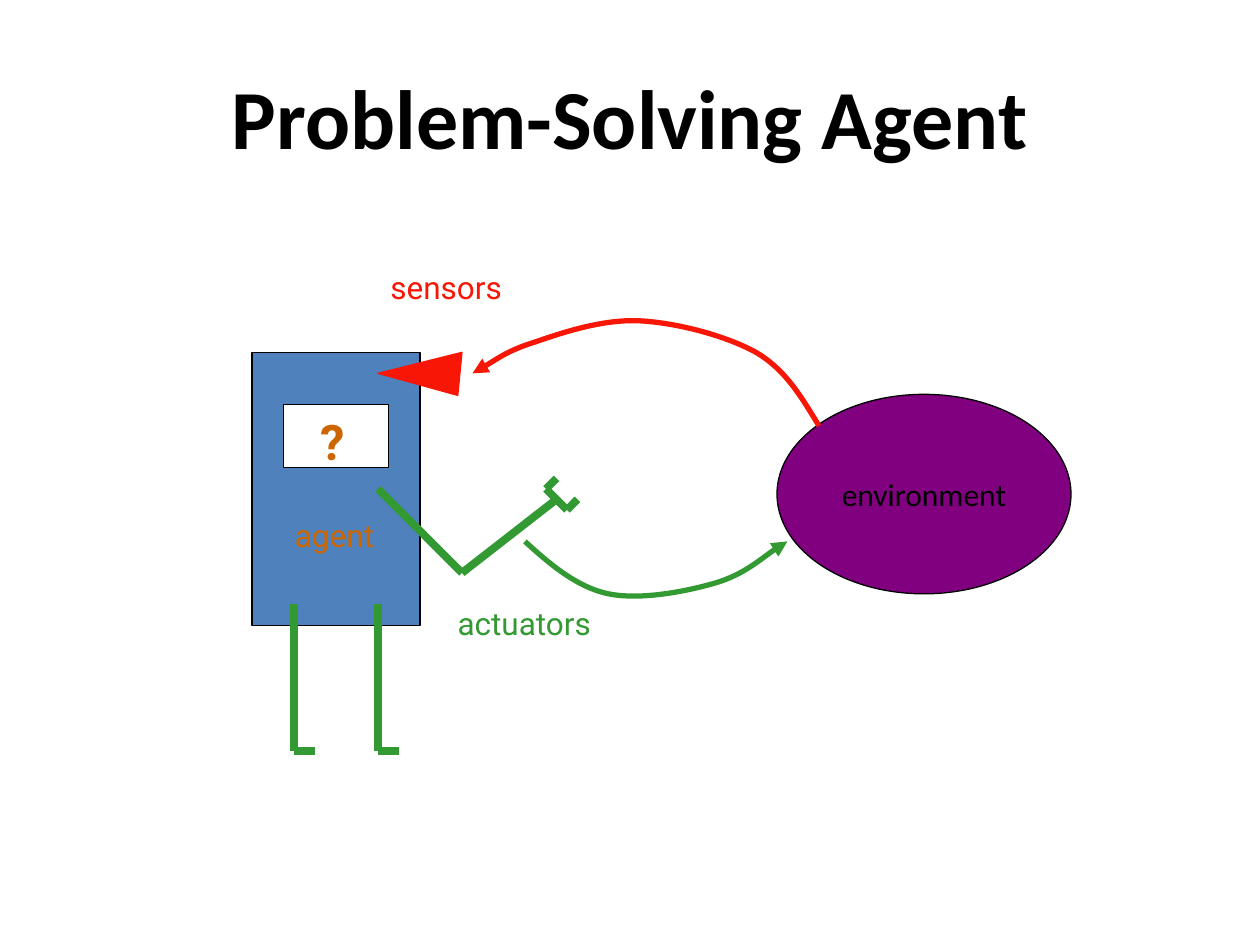
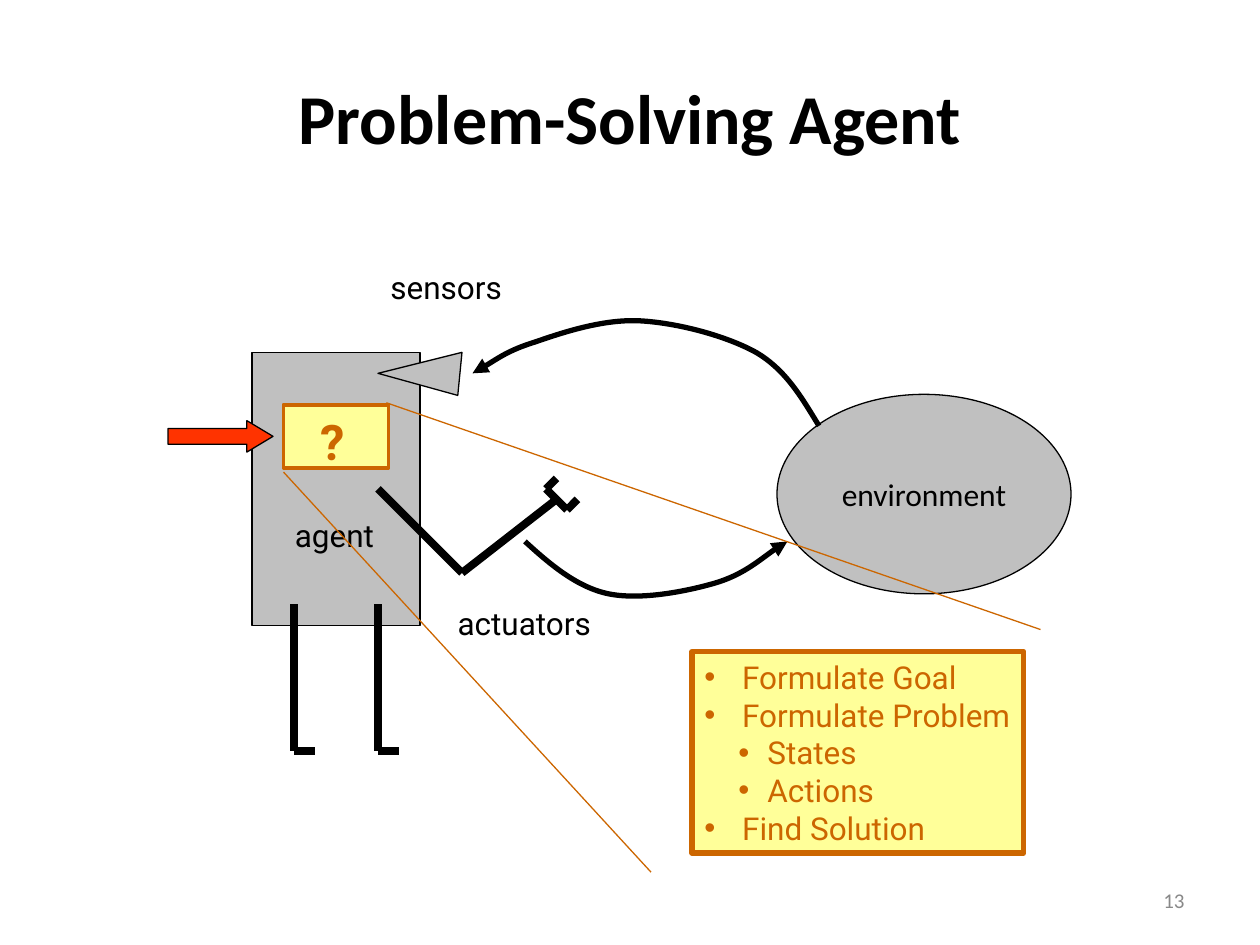
from dataclasses import dataclass

from lxml import etree
from pptx import Presentation
from pptx import util as u
from pptx.dml.color import RGBColor
from pptx.enum import shapes, text
from pptx.oxml.ns import qn


@dataclass(frozen=True)
class Theme:
    black: str = "000000"
    white: str = "FFFFFF"
    grey: str = "C0C0C0"
    blue: str = "4F81BD"
    purple: str = "800080"
    red: str = "F81706"
    arrow_red: str = "FF3300"
    green: str = "339933"
    orange: str = "CC6600"
    yellow: str = "FFFF99"
    number_grey: str = "898989"
    heading: str = "Calibri"
    body: str = "Roboto"
    label_size: int = 18
    question_size: int = 28
    number_size: int = 12
    thin: float = 0.75
    medium: float = 2.25
    flow: int = 3
    limb: float = 4.5


@dataclass(frozen=True)
class Look:
    title_size: int
    body: str
    environment: str
    sensor: str
    sensor_edge: str
    sensing: str
    acting: str
    agent_label: str
    window: str
    window_edge: str
    window_weight: float


THEME = Theme()
COLOURFUL = Look(48, THEME.blue, THEME.purple, THEME.red, THEME.red, THEME.red,
                 THEME.green, THEME.orange, THEME.white, THEME.black, THEME.thin)
MUTED = Look(40, THEME.grey, THEME.grey, THEME.grey, THEME.black, THEME.black,
             THEME.black, THEME.black, THEME.yellow, THEME.orange, THEME.medium)

CELL = u.Inches(1) / 6
TOP = u.Inches(0.13)

SENSING_FLOW = [(39, 19.5), (38.2, 18.2), (37.45, 16.85), (36, 16),
                (34.55, 15.2), (32.25, 14.6), (30.5, 14.5),
                (28.75, 14.4), (26.8, 15.05), (25.5, 15.5),
                (24.2, 15.9), (23, 16.75), (22.5, 17)]
ACTING_FLOW = [(25, 25), (26.2, 26.1), (27.5, 27.2), (29, 27.5),
               (30.5, 27.8), (32.6, 27.4), (34, 27),
               (35.4, 26.6), (36.9, 25.3), (37.5, 25)]
SENSOR_CONE = [(18, 17), (22, 16), (21.8, 18.05)]
ARM = [[(18, 22.5), (22, 26.5), (26.5, 23)],
       [(26.5, 22), (26, 22.5), (27, 23.5), (27.5, 23)]]
LEGS = [[(hip, 28), (hip, 35), (hip + 1, 35)] for hip in (14, 18)]
STEPS = [("Formulate Goal", 0), ("Formulate Problem", 0), ("States", 1),
         ("Actions", 1), ("Find Solution", 0)]
STEP_INDENTS = [(0.3, 0.3), (0.5, 0.23)]


def at(column, row):
    return round(column * CELL), round(TOP + row * CELL)


def area(column, row, columns, rows):
    return (*at(column, row), round(columns * CELL), round(rows * CELL))


def rgb(colour):
    return RGBColor.from_string(colour)


def write(frame, words, *, size=THEME.label_size, font=THEME.body, colour=THEME.black,
          bold=False, align=text.PP_ALIGN.LEFT, anchor=text.MSO_ANCHOR.TOP,
          wrap=False, indents=None):
    frame.word_wrap = wrap
    frame.vertical_anchor = anchor
    entries = [(words, 0)] if isinstance(words, str) else words
    for index, (line, level) in enumerate(entries):
        paragraph = frame.paragraphs[0] if index == 0 else frame.add_paragraph()
        paragraph.level = level
        paragraph.alignment = align
        if indents:
            add_bullet(paragraph, colour, *indents[level])
        run = paragraph.add_run()
        run.text = line
        run.font.size = u.Pt(size)
        run.font.name = font
        run.font.bold = bold
        run.font.color.rgb = rgb(colour)


def add_bullet(paragraph, colour, margin, hang):
    settings = paragraph._p.get_or_add_pPr()
    settings.set("marL", str(u.Inches(margin)))
    settings.set("indent", str(-u.Inches(hang)))
    tint = etree.SubElement(settings, qn("a:buClr"))
    etree.SubElement(tint, qn("a:srgbClr"), val=colour)
    etree.SubElement(settings, qn("a:buFont"), typeface="Arial")
    etree.SubElement(settings, qn("a:buChar"), char="•")


def paint(figure, fill, edge, weight):
    figure.shadow.inherit = False
    if fill:
        figure.fill.solid()
        figure.fill.fore_color.rgb = rgb(fill)
    else:
        figure.fill.background()
    figure.line.color.rgb = rgb(edge)
    figure.line.width = u.Pt(weight)


def add_figure(slide, kind, place, fill, edge=THEME.black, weight=THEME.thin):
    figure = slide.shapes.add_shape(kind, *area(*place))
    paint(figure, fill, edge, weight)
    return figure


def add_label(slide, words, place, **style):
    write(slide.shapes.add_textbox(*area(*place)).text_frame, words, **style)


def add_outline(slide, points, fill, edge, weight, close):
    corners = [at(*point) for point in points]
    builder = slide.shapes.build_freeform(*corners[0])
    builder.add_line_segments(corners[1:], close=close)
    outline = builder.convert_to_shape()
    paint(outline, fill, edge, weight)
    return outline


def add_flow(slide, points, colour):
    flow = add_outline(slide, points, None, colour, THEME.flow, False)
    track = flow._element.find(".//" + qn("a:path"))
    segments = track.findall(qn("a:lnTo"))
    for start in range(0, len(segments), 3):
        curve = etree.SubElement(track, qn("a:cubicBezTo"))
        for segment in segments[start:start + 3]:
            curve.append(segment[0])
            track.remove(segment)
    etree.SubElement(flow.line._get_or_add_ln(), qn("a:tailEnd"), type="triangle")


def add_strokes(slide, points, colour, weight):
    for start, end in zip(points, points[1:]):
        stroke = slide.shapes.add_connector(
            shapes.MSO_CONNECTOR.STRAIGHT, *at(*start), *at(*end))
        stroke.line.color.rgb = rgb(colour)
        stroke.line.width = u.Pt(weight)
        etree.SubElement(stroke._element.spPr, qn("a:effectLst"))


def add_agent_slide(deck, look):
    slide = deck.slides.add_slide(deck.slide_layouts[6])
    middle = dict(align=text.PP_ALIGN.CENTER, anchor=text.MSO_ANCHOR.MIDDLE,
                  font=THEME.heading)
    kinds = shapes.MSO_SHAPE
    add_label(slide, "Problem-Solving Agent", (3, 1, 54, 7.5),
              size=look.title_size, bold=True, wrap=True, **middle)
    environment = add_figure(slide, kinds.OVAL, (37, 18, 14, 9.5), look.environment)
    write(environment.text_frame, "environment", **middle)
    add_flow(slide, SENSING_FLOW, look.sensing)
    add_flow(slide, ACTING_FLOW, look.acting)
    add_figure(slide, kinds.RECTANGLE, (12, 16, 8, 13), look.body)
    add_label(slide, "agent", (13.45, 23.5, 5.3, 2.4), colour=look.agent_label)
    add_figure(slide, kinds.RECTANGLE, (13.5, 18.5, 5, 3), look.window,
               look.window_edge, look.window_weight)
    add_label(slide, "?", (14.65, 18.5, 2.3, 3.4), size=THEME.question_size,
              colour=THEME.orange, bold=True)
    for limb in ARM + LEGS:
        add_strokes(slide, limb, look.acting, THEME.limb)
    add_outline(slide, SENSOR_CONE, look.sensor, look.sensor_edge, THEME.thin, True)
    add_label(slide, "sensors", (18, 11.7, 6.65, 2.4), colour=look.sensing)
    add_label(slide, "actuators", (21.2, 27.7, 7.85, 2.4), colour=look.acting)
    return slide


def add_zoom(slide):
    panel = add_figure(slide, shapes.MSO_SHAPE.RECTANGLE, (32.95, 30.25, 15.8, 9.6),
                       THEME.yellow, THEME.orange, THEME.flow)
    panel.text_frame.margin_right = 0
    write(panel.text_frame, STEPS, colour=THEME.orange, wrap=True, indents=STEP_INDENTS)
    for ray in ([(13.5, 21.7), (31, 40.75)], [(18.4, 18.4), (49.55, 29.2)]):
        add_strokes(slide, ray, THEME.orange, THEME.thin)
    pointer = add_figure(slide, shapes.MSO_SHAPE.RIGHT_ARROW, (8, 19.25, 5, 1.5),
                         THEME.arrow_red)
    pointer.adjustments[1] = 0.83


def main():
    deck = Presentation()
    deck.slide_width, deck.slide_height = u.Inches(10), u.Inches(7.5)
    add_agent_slide(deck, COLOURFUL)
    detail = add_agent_slide(deck, MUTED)
    add_zoom(detail)
    add_label(detail, "13", (43, 40.9, 14, 2.4), size=THEME.number_size,
              font=THEME.heading, colour=THEME.number_grey, wrap=True,
              align=text.PP_ALIGN.RIGHT, anchor=text.MSO_ANCHOR.MIDDLE)
    deck.save("out.pptx")


if __name__ == "__main__":
    main()
